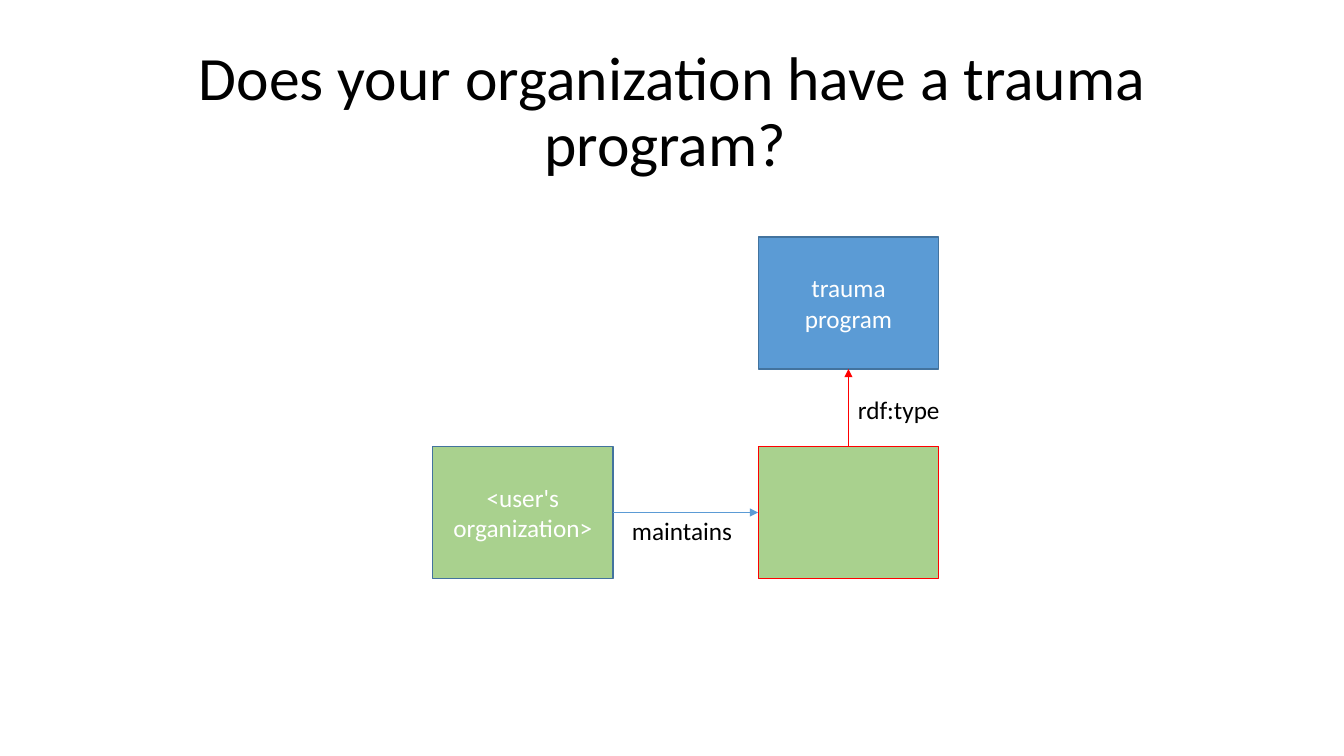
from dataclasses import dataclass

from lxml.etree import SubElement
from pptx import Presentation
from pptx.dml.color import RGBColor
from pptx.enum.shapes import MSO_CONNECTOR, MSO_SHAPE
from pptx.enum.text import MSO_ANCHOR, MSO_AUTO_SIZE, PP_ALIGN
from pptx.oxml.ns import qn
from pptx.util import Inches, Pt


@dataclass(frozen=True)
class Theme:
    font: str = "Calibri"
    title_size: int = 44
    body_size: int = 18
    box_line: float = 1
    arrow_line: float = 0.5
    black: str = "000000"
    white: str = "FFFFFF"
    blue: str = "5B9BD5"
    dark_blue: str = "43739E"
    green: str = "A9D18E"
    red: str = "FF0000"


THEME = Theme()

# Content
TITLE = "Does your organization have a trauma program? "
# name: (column, row, text, fill, line)
BOXES = {
    "class": (1, 0, "trauma program", THEME.blue, THEME.dark_blue),
    "organization": (0, 1, "<user's organization>", THEME.green, THEME.dark_blue),
    "instance": (1, 1, "", THEME.green, THEME.red),
}
# (from box, side, to box, side, colour); sides: 0 top, 1 left, 2 bottom, 3 right
ARROWS = [
    ("instance", 0, "class", 2, THEME.red),
    ("organization", 3, "instance", 1, THEME.blue),
]
# (text, left, top, width, height)
LABELS = [
    ("rdf:type", 8.41, 3.86, 1.02, 0.4),
    ("maintains", 6.17, 5.06, 1.26, 0.71),
]

# Box grid
GRID_LEFT, GRID_TOP = 4.29, 2.35
COL_STEP, ROW_STEP = 3.23, 2.08
BOX_W, BOX_H = 1.79, 1.31


def rgb(value):
    return RGBColor.from_string(value)


def write(tf, text, size, color, align):
    tf.text = text
    p = tf.paragraphs[0]
    p.alignment = align
    p.font.name = THEME.font
    p.font.size = Pt(size)
    p.font.color.rgb = rgb(color)
    return p


def add_title(slide):
    sp = slide.shapes.title
    sp.left, sp.top, sp.width, sp.height = map(Inches, (0.92, 0.4, 11.5, 1.45))
    tf = sp.text_frame
    tf.auto_size = MSO_AUTO_SIZE.NONE
    tf.vertical_anchor = MSO_ANCHOR.MIDDLE
    p = write(tf, TITLE, THEME.title_size, THEME.black, PP_ALIGN.CENTER)
    p.line_spacing = 0.9


def add_box(slide, col, row, text, fill, line):
    left, top = GRID_LEFT + col * COL_STEP, GRID_TOP + row * ROW_STEP
    sp = slide.shapes.add_shape(
        MSO_SHAPE.RECTANGLE, *map(Inches, (left, top, BOX_W, BOX_H)))
    sp.shadow.inherit = False
    sp.fill.solid()
    sp.fill.fore_color.rgb = rgb(fill)
    sp.line.color.rgb = rgb(line)
    sp.line.width = Pt(THEME.box_line)
    if text:
        sp.text_frame.vertical_anchor = MSO_ANCHOR.MIDDLE
        write(sp.text_frame, text, THEME.body_size, THEME.white, PP_ALIGN.CENTER)
    return sp


def add_arrow(slide, start, start_side, end, end_side, color):
    cx = slide.shapes.add_connector(MSO_CONNECTOR.STRAIGHT, 0, 0, 0, 0)
    cx.begin_connect(start, start_side)
    cx.end_connect(end, end_side)
    cx.line.color.rgb = rgb(color)
    cx.line.width = Pt(THEME.arrow_line)
    SubElement(cx.line._get_or_add_ln(), qn("a:tailEnd"), type="triangle")
    SubElement(cx._element.spPr, qn("a:effectLst"))


def add_label(slide, text, *place):
    tf = slide.shapes.add_textbox(*map(Inches, place)).text_frame
    tf.word_wrap = False
    tf.auto_size = MSO_AUTO_SIZE.SHAPE_TO_FIT_TEXT
    write(tf, text, THEME.body_size, THEME.black, PP_ALIGN.LEFT)


def main():
    prs = Presentation()
    prs.slide_width, prs.slide_height = Inches(13.33), Inches(7.5)
    slide = prs.slides.add_slide(prs.slide_layouts[5])

    add_title(slide)

    # Boxes, then the arrows that join them
    boxes = {name: add_box(slide, *box) for name, box in BOXES.items()}
    for start, start_side, end, end_side, color in ARROWS:
        add_arrow(slide, boxes[start], start_side, boxes[end], end_side, color)

    # Arrow labels
    for label in LABELS:
        add_label(slide, *label)

    prs.save("out.pptx")


if __name__ == "__main__":
    main()
